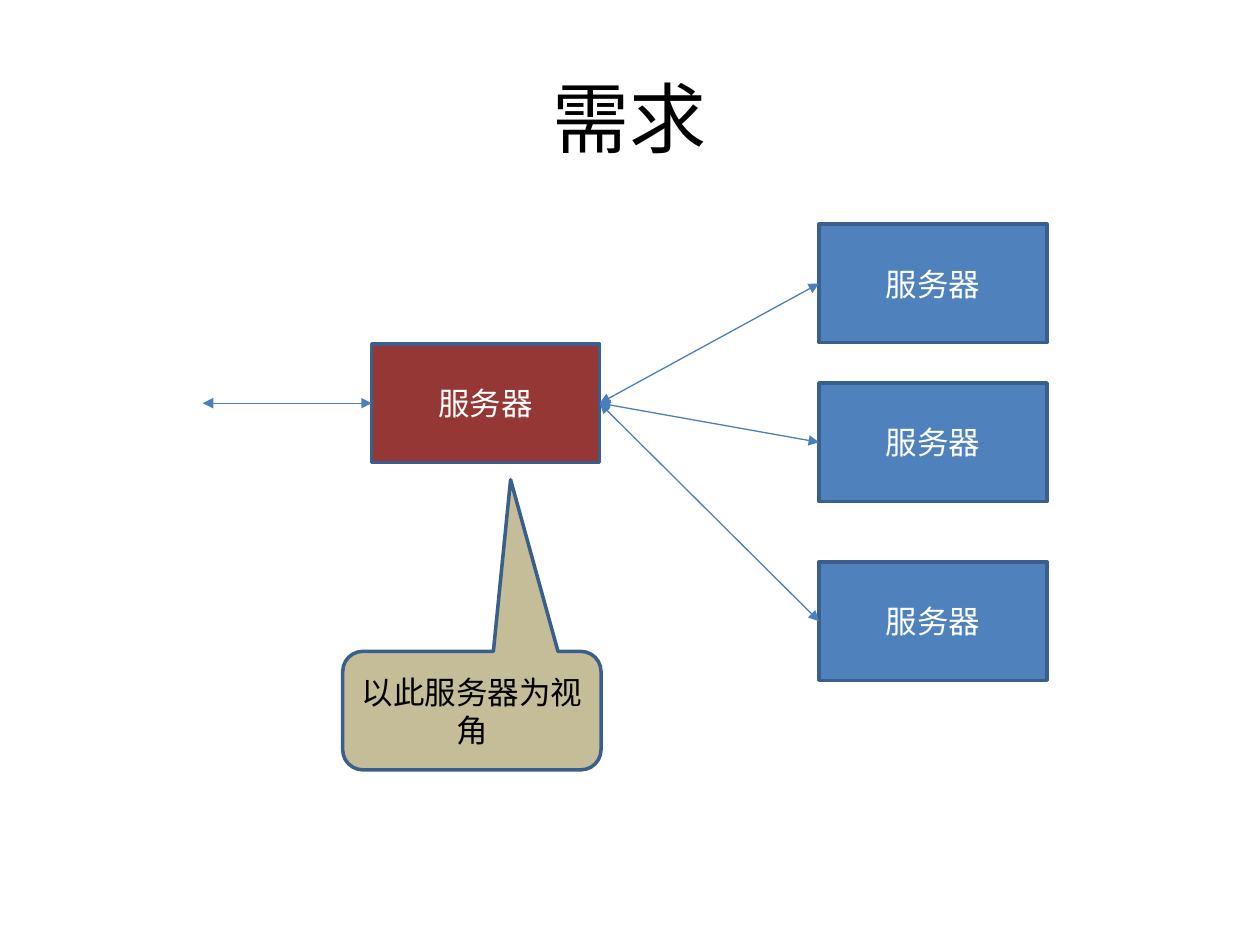
from dataclasses import dataclass

from lxml.etree import SubElement
from pptx import Presentation
from pptx.dml.color import RGBColor
from pptx.enum.shapes import MSO_CONNECTOR as Link, MSO_SHAPE as Kind
from pptx.enum.text import MSO_ANCHOR as Anchor, PP_ALIGN as Align
from pptx.oxml.ns import qn
from pptx.util import Inches, Pt

FONT = "Calibri"
EDGE = "3A5F8C"
ARROW = "4B7EBC"
BLUE = "4F81BD"
RED = "953735"
TAN = "C4BD97"
WIDE, HIGH = 1.81, 0.94


@dataclass
class Box:
    text: str
    left: float
    top: float
    fill: str
    width: float = WIDE
    kind: Kind = Kind.RECTANGLE
    ink: str = "FFFFFF"
    adjust: tuple[float, ...] = ()

    @property
    def right(self) -> float:
        return self.left + self.width

    @property
    def mid(self) -> float:
        return self.top + HIGH / 2


def color(code: str) -> RGBColor:
    return RGBColor.from_string(code)


def write(shape, text: str, *, size: float = 18, ink: str = "000000") -> None:
    frame = shape.text_frame
    frame.word_wrap = True
    frame.vertical_anchor = Anchor.MIDDLE
    para = frame.paragraphs[0]
    para.alignment = Align.CENTER
    run = para.add_run()
    run.text = text
    run.font.name = FONT
    run.font.size = Pt(size)
    run.font.color.rgb = color(ink)


def draw(slide, box: Box) -> None:
    shape = slide.shapes.add_shape(
        box.kind, Inches(box.left), Inches(box.top), Inches(box.width), Inches(HIGH))
    shape.shadow.inherit = False
    shape.fill.solid()
    shape.fill.fore_color.rgb = color(box.fill)
    shape.line.color.rgb = color(EDGE)
    shape.line.width = Pt(2)
    for i, value in enumerate(box.adjust):
        shape.adjustments[i] = value
    write(shape, box.text, ink=box.ink)


def join(slide, start: tuple[float, float], end: tuple[float, float]) -> None:
    line = slide.shapes.add_connector(
        Link.STRAIGHT, *(Inches(n) for n in (*start, *end)))
    line.line.color.rgb = color(ARROW)
    line.line.width = Pt(0.75)
    props = line.line._get_or_add_ln()
    for tag in ("a:headEnd", "a:tailEnd"):
        SubElement(props, qn(tag), type="triangle")
    SubElement(line._element.spPr, qn("a:effectLst"))


deck = Presentation()
deck.slide_width, deck.slide_height = Inches(10), Inches(7.5)
slide = deck.slides.add_slide(deck.slide_layouts[6])

# Title
title = slide.shapes.add_textbox(Inches(0.5), Inches(0.3), Inches(9), Inches(1.25))
write(title, "需求", size=44)

# Servers
main = Box("服务器", 2.95, 2.73, RED)
peers = [Box("服务器", 6.5, top, BLUE) for top in (1.78, 3.04, 4.46)]
for box in (main, *peers):
    draw(slide, box)

# Two-way links
join(slide, (1.61, main.mid), (main.left, main.mid))
for peer in peers:
    join(slide, (main.right, main.mid), (peer.left, peer.mid))

# Callout
draw(slide, Box("以此服务器为视角", 2.72, 5.17, TAN, width=2.05,
                kind=Kind.ROUNDED_RECTANGULAR_CALLOUT, ink="000000",
                adjust=(0.15, -1.95, 0.17)))

deck.save("out.pptx")
